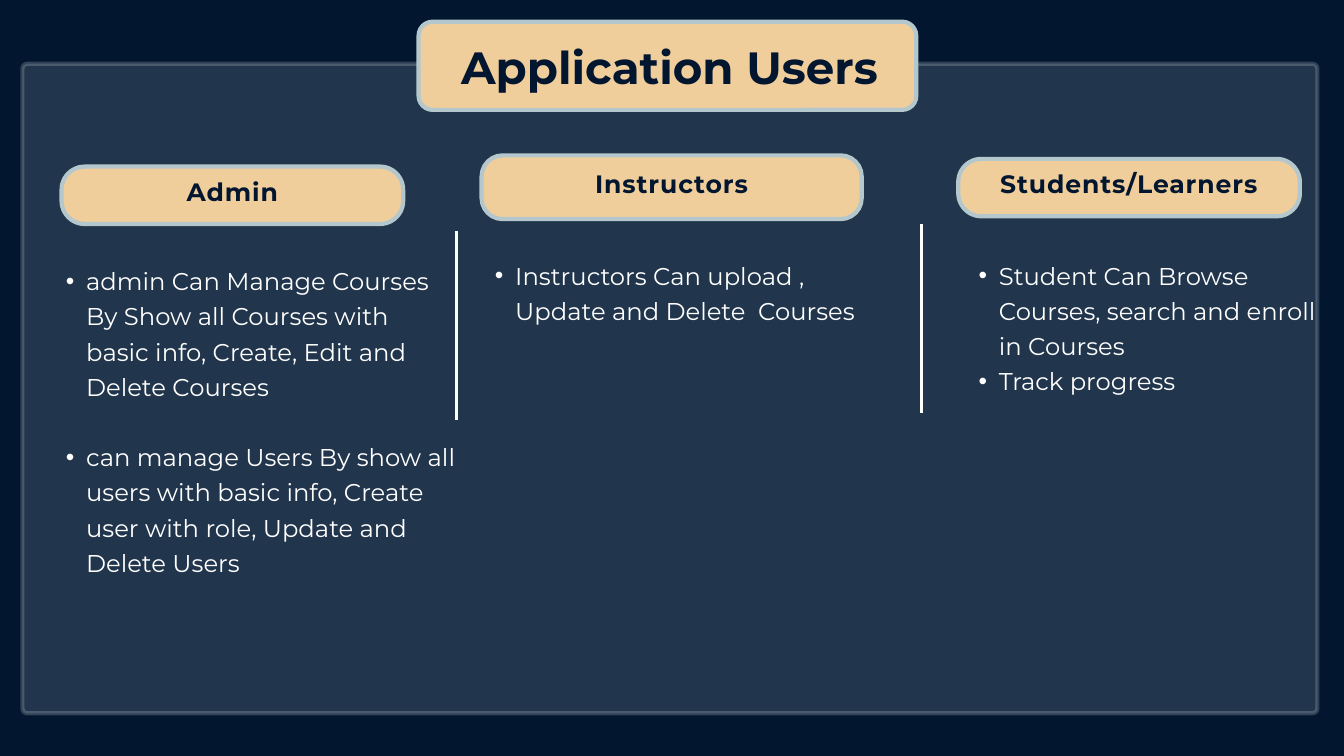
"""Build the Application Users slide with its three role columns."""
from lxml import etree
from pptx import Presentation
from pptx.dml.color import RGBColor
from pptx.enum.shapes import MSO_CONNECTOR, MSO_SHAPE
from pptx.enum.text import MSO_ANCHOR, MSO_AUTO_SIZE, PP_ALIGN
from pptx.oxml.ns import qn
from pptx.util import Pt

PX = 9525
ROUND = MSO_SHAPE.ROUNDED_RECTANGLE
LINE = MSO_CONNECTOR.STRAIGHT
MID, TOP = MSO_ANCHOR.MIDDLE, MSO_ANCHOR.TOP
FIT, FIXED = MSO_AUTO_SIZE.SHAPE_TO_FIT_TEXT, MSO_AUTO_SIZE.NONE
LEFT, CENTER = PP_ALIGN.LEFT, PP_ALIGN.CENTER
HEX = {"navy": "021630", "sand": "F0CE9B", "mist": "B3C7CC", "white": "FFFFFF"}
COLOR = {name: RGBColor.from_string(code) for name, code in HEX.items()}
STYLES = {
    "title": {"font": {"size": Pt(48.4), "bold": True}, "color": "navy", "track": 0,
              "para": {"alignment": CENTER, "line_spacing": Pt(67.7)},
              "frame": {"vertical_anchor": TOP, "auto_size": FIT}, "inset": 0},
    "label": {"font": {"size": Pt(26.9), "bold": True}, "color": "navy", "track": 100,
              "para": {"alignment": CENTER, "line_spacing": Pt(38.4)},
              "frame": {"vertical_anchor": MID, "auto_size": FIXED}, "inset": 5},
    "list": {"font": {"size": Pt(26), "bold": False}, "color": "white", "track": 0,
             "para": {"alignment": LEFT, "line_spacing": Pt(37.7)},
             "frame": {"vertical_anchor": TOP, "auto_size": FIT}, "inset": 0},
}

deck = Presentation()
deck.slide_width, deck.slide_height = 1920 * PX, 1080 * PX
slide = deck.slides.add_slide(deck.slide_layouts[6])
slide.background.fill.solid()
slide.background.fill.fore_color.rgb = COLOR["navy"]


def add_card(box, radius, fill, edge, alpha=None):
    card = slide.shapes.add_shape(ROUND, *[n * PX for n in box])
    card.shadow.inherit = False
    card.adjustments[0] = radius / box[3]
    card.fill.solid()
    card.fill.fore_color.rgb = COLOR[fill]
    card.line.color.rgb = COLOR[edge]
    card.line.width = Pt(4.5)
    if alpha:
        for tint in card._element.spPr.iter(qn("a:srgbClr")):
            etree.SubElement(tint, qn("a:alpha"), val=str(alpha * 1000))


def add_text(box, lines, kind, gap=0):
    style = STYLES[kind]
    frame = slide.shapes.add_textbox(*[n * PX for n in box]).text_frame
    frame.word_wrap = True
    for key, val in style["frame"].items():
        setattr(frame, key, val)
    for side in ("left", "top", "right", "bottom"):
        setattr(frame, f"margin_{side}", style["inset"] * PX)
    for i, line in enumerate(lines):
        para = frame.add_paragraph() if i else frame.paragraphs[0]
        if kind == "list":
            props = para._p.get_or_add_pPr()
            props.set("marL", str(58 * PX))
            props.set("indent", str(-29 * PX))
            etree.SubElement(props, qn("a:buFont"), typeface="Arial")
            etree.SubElement(props, qn("a:buChar"), char="•")
        for key, val in style["para"].items():
            setattr(para, key, val)
        if i and gap:
            para.space_before = Pt(gap)
        run = para.add_run()
        run.text = line
        run.font.name = "Montserrat"
        run.font.color.rgb = COLOR[style["color"]]
        for key, val in style["font"].items():
            setattr(run.font, key, val)
        if style["track"]:
            run.font._element.set("spc", str(style["track"]))


add_card((32, 91, 1850, 928), 7, "mist", "white", 18)
add_card((598, 31, 711, 126), 20, "sand", "mist")
add_text((632, 43, 649, 87), ["Application Users"], "title")

roles = [
    ("Admin", (88, 238, 488, 82), 33, (65, 372, 586, 447), 37.7, [
        "admin Can Manage Courses By Show all Courses with basic info, "
        "Create, Edit and Delete Courses",
        "can manage Users By show all users with basic info, "
        "Create user with role, Update and Delete Users"]),
    ("Instructors", (688, 222, 543, 91), 30, (678, 364, 586, 198), 0, [
        "Instructors Can upload , Update and Delete  Courses"]),
    ("Students/Learners", (1369, 227, 488, 82), 33, (1369, 364, 527, 298), 0, [
        "Student Can Browse Courses, search and enroll in Courses",
        "Track progress"]),
]
for role, pill, radius, box, gap, tasks in roles:
    left, top, width, height = pill
    add_card(pill, radius, "sand", "mist")
    add_text((left, top - 19, width, height + 19), [role], "label")
    add_text(box, tasks, "list", gap)

for left, top in ((652, 330), (1316, 320)):
    rule = slide.shapes.add_connector(
        LINE, left * PX, top * PX, left * PX, (top + 270) * PX)
    rule.line.color.rgb = COLOR["white"]
    rule.line.width = Pt(3)
    etree.SubElement(rule._element.spPr, qn("a:effectLst"))

deck.save("out.pptx")
